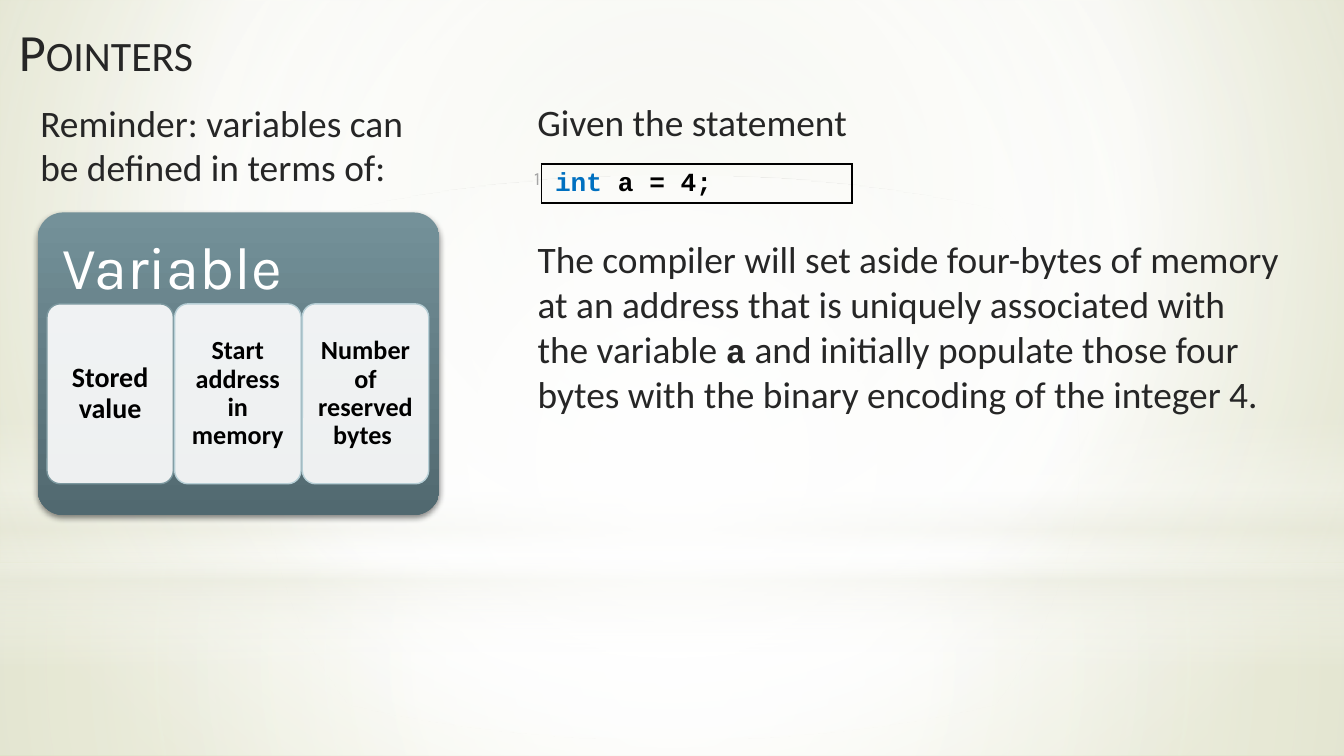
import pptx
import pptx.dml.color
import pptx.enum.shapes
import pptx.enum.text
import pptx.oxml
import pptx.oxml.ns
import pptx.util

theme = {
    "text": "262626", "code": "000000", "keyword": "0070C0", "number": "A6A6A6",
    "white": "FFFFFF", "cream": "EAEBDE", "sage": "E3E5D1", "olive": "CCD09F",
    "panel_top": "749199", "panel_bottom": "516970",
    "first_edge": "7C989F", "card_edge": "B6CED5",
    "body_font": "Calibri", "code_font": "Courier New", "display_font": "Karla",
    "title_size": 28, "body_size": 20, "inline_size": 18, "panel_size": 32,
    "lead_card_size": 15, "card_size": 14, "code_size": 14, "number_size": 10,
}
namespace = pptx.oxml.ns.nsdecls("a")
shape_kind = pptx.enum.shapes.MSO_SHAPE
alignment = pptx.enum.text.PP_ALIGN
anchor = pptx.enum.text.MSO_ANCHOR
rgb = pptx.dml.color.RGBColor.from_string


def paint_gradient(fill, element, stops, focus=None):
    fill.gradient()
    gradient = element.xpath(".//a:gradFill")[0]
    gradient.clear()
    marks = "".join(
        f'<a:gs pos="{position * 1000}"><a:srgbClr val="{theme[color]}">'
        f'<a:alpha val="{opacity * 1000}"/></a:srgbClr></a:gs>'
        for position, color, opacity in stops)
    gradient.append(pptx.oxml.parse_xml(f"<a:gsLst {namespace}>{marks}</a:gsLst>"))
    if focus:
        edges = " ".join(f'{side}="{share * 1000}"' for side, share in zip("ltrb", focus))
        direction = f'<a:path {namespace} path="circle"><a:fillToRect {edges}/></a:path>'
    else:
        direction = f'<a:lin {namespace} ang="5400000" scaled="0"/>'
    gradient.append(pptx.oxml.parse_xml(direction))


def write(frame, text, font="body_font", size="body_size", color="text", bold=False,
          align=alignment.LEFT, spacing=1.0, inset=None):
    frame.word_wrap = True
    if inset is not None:
        frame.margin_left = frame.margin_right = pptx.util.Inches(inset)
        frame.margin_top = frame.margin_bottom = pptx.util.Inches(inset)
    para = frame.paragraphs[0]
    para.alignment = align
    para.line_spacing = spacing
    para.space_before = pptx.util.Pt(0)
    span = para.add_run()
    span.text = text
    span.font.name = theme[font]
    span.font.size = pptx.util.Pt(theme[size])
    span.font.bold = bold
    span.font.color.rgb = rgb(theme[color])
    return span


deck = pptx.Presentation()
deck.slide_width = pptx.util.Inches(10)
deck.slide_height = pptx.util.Inches(5.625)
column, row = deck.slide_width / 100, deck.slide_height / 100

shares = {
    "floor": (0, 74.5, 100, 25.5),
    "wall": (0, 0, 100, 74.5),
    "horizon": (0, 55, 100, 33.4),
    "glow": (0, 23.3, 100, 74.5),
    "title": (0.4, 1.1, 42.5, 11.2),
    "reminder": (2, 12.3, 29.1, 13.7),
    "panel": (2.8, 28.1, 29.9, 40),
    "code": (38.2, 21.7, 25.2, 5.2),
    "compiler": (39, 30.4, 57.5, 25.8),
    "statement": (39, 12.3, 29.1, 7.8),
}
areas = {
    name: (int(left * column), int(top * row), int(width * column), int(height * row))
    for name, (left, top, width, height) in shares.items()
}

page = deck.slides.add_slide(deck.slide_layouts[3])
paint_gradient(page.background.fill, page.element,
               [(0, "sage", 100), (60, "white", 100), (100, "olive", 100)], (20, 10, 20, 60))
title, reminder, compiler = page.placeholders

center = (50, 50, 50, 50)
lights = [
    ("floor", shape_kind.RECTANGLE, center,
     [(0, "white", 91), (37, "white", 76), (100, "cream", 79)]),
    ("wall", shape_kind.RECTANGLE, center,
     [(0, "white", 89), (48, "white", 62), (100, "cream", 79)]),
    ("horizon", shape_kind.RECTANGLE, None,
     [(0, "white", 0), (29, "white", 30), (45, "cream", 40),
      (55, "white", 26), (65, "cream", 60), (100, "white", 0)]),
    ("glow", shape_kind.OVAL, center, [(0, "white", 100), (56, "white", 0)]),
]
for name, kind, focus, stops in lights:
    light = page.shapes.add_shape(kind, *areas[name])
    light.shadow.inherit = False
    light.line.fill.background()
    paint_gradient(light.fill, light.element, stops, focus)
    title.element.addprevious(light.element)

statement = page.shapes.add_textbox(*areas["statement"])
boxes = {"title": title, "reminder": reminder, "compiler": compiler, "statement": statement}
for name, box in boxes.items():
    box.left, box.top, box.width, box.height = areas[name]
    box.text_frame.auto_size = pptx.enum.text.MSO_AUTO_SIZE.NONE
    box.text_frame.vertical_anchor = anchor.MIDDLE if box is title else anchor.TOP

heading = write(title.text_frame, "Pointers", size="title_size")
heading.font._element.set("cap", "small")
write(reminder.text_frame, "Reminder: variables can be defined in terms of:")
write(statement.text_frame, "Given the statement")
write(compiler.text_frame, "The compiler will set aside four-bytes of memory at an address "
      "that is uniquely associated with the variable ")
write(compiler.text_frame, "a", font="code_font", size="inline_size", bold=True)
write(compiler.text_frame, " and initially populate those four bytes with the binary "
      "encoding of the integer 4.")
for box in (reminder, compiler):
    properties = box.text_frame.paragraphs[0]._p.get_or_add_pPr()
    properties.set("marL", "0")
    properties.set("indent", "0")
    properties.append(pptx.oxml.parse_xml(f"<a:buNone {namespace}/>"))

panel = page.shapes.add_shape(shape_kind.ROUNDED_RECTANGLE, *areas["panel"])
panel.adjustments[0] = 0.085
panel.line.fill.background()
paint_gradient(panel.fill, panel.element, [(0, "panel_top", 100), (100, "panel_bottom", 100)])
panel.shadow.inherit = False
panel.element.xpath(".//a:effectLst")[0].append(pptx.oxml.parse_xml(
    f'<a:outerShdw {namespace} blurRad="{pptx.util.Pt(3.1)}" dist="{pptx.util.Pt(1.8)}" '
    'dir="5400000" rotWithShape="0"><a:srgbClr val="000000"><a:alpha val="45000"/>'
    '</a:srgbClr></a:outerShdw>'))
panel.text_frame.vertical_anchor = anchor.TOP
write(panel.text_frame, "Variable", font="display_font", size="panel_size", color="white",
      spacing=0.9, inset=0.13)

cards = [
    ("Stored value", "lead_card_size", "first_edge"),
    ("Start address in memory", "card_size", "card_edge"),
    ("Number of reserved bytes ", "card_size", "card_edge"),
]
for index, (text, size, edge) in enumerate(cards):
    card = page.shapes.add_shape(
        shape_kind.ROUNDED_RECTANGLE, int((3.5 + 9.5 * index) * column), int(40.2 * row),
        int(9.4 * column), int(23.8 * row))
    card.adjustments[0] = 0.105
    card.shadow.inherit = False
    card.fill.solid()
    card.fill.fore_color.rgb = rgb(theme["white"])
    card.element.xpath("./p:spPr/a:solidFill/a:srgbClr")[0].append(
        pptx.oxml.parse_xml(f'<a:alpha {namespace} val="90000"/>'))
    card.line.color.rgb = rgb(theme[edge])
    card.line.width = pptx.util.Pt(0.75)
    card.text_frame.vertical_anchor = anchor.MIDDLE
    write(card.text_frame, text, size=size, color="code", bold=True,
          align=alignment.CENTER, spacing=0.9, inset=0.06)

code = page.shapes.add_table(1, 2, *areas["code"])
table = code.table
table.first_row = table.horz_banding = False
code.element.xpath(".//a:tableStyleId")[0].text = "{2D5ABB26-0587-4C30-8999-92F81FD0307C}"
table.columns[0].width = int(2.1 * column)
table.columns[1].width = int(23.1 * column)
number_cell, code_cell = table.cell(0, 0), table.cell(0, 1)
for cell, sides in ((number_cell, "R"), (code_cell, "LRTB")):
    cell.fill.background()
    cell.margin_left = cell.margin_right = pptx.util.Inches(0.01)
    cell.margin_top = cell.margin_bottom = pptx.util.Inches(0.01)
    for index, side in enumerate(sides):
        cell._tc.get_or_add_tcPr().insert(index, pptx.oxml.parse_xml(
            f'<a:ln{side} {namespace} w="{pptx.util.Pt(1)}"><a:solidFill>'
            f'<a:srgbClr val="{theme["code"]}"/></a:solidFill></a:ln{side}>'))
write(number_cell.text_frame, "1", font="display_font", size="number_size", color="number",
      align=alignment.RIGHT, spacing=1.15)
for text, color in (("int ", "keyword"), ("a = 4;", "code")):
    write(code_cell.text_frame, text, font="code_font", size="code_size", color=color,
          bold=True, spacing=1.15)
code_cell.text_frame.paragraphs[0]._p.get_or_add_pPr().set("marL", str(pptx.util.Inches(0.09)))

deck.save("out.pptx")
